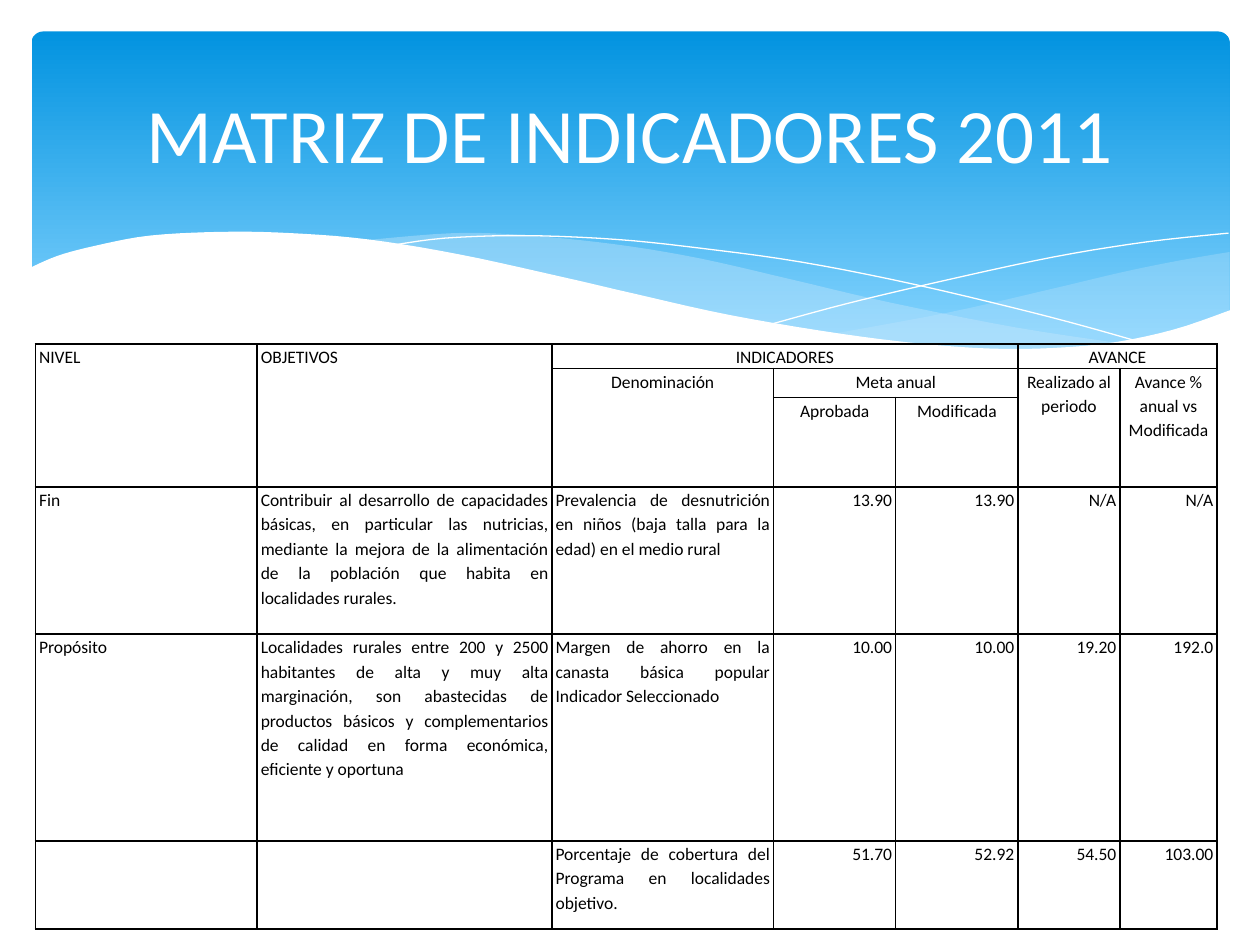
from lxml.etree import SubElement
from pptx import Presentation
from pptx.dml.color import RGBColor
from pptx.enum.shapes import MSO_SHAPE
from pptx.enum.text import MSO_ANCHOR, MSO_AUTO_SIZE, PP_ALIGN
from pptx.oxml.ns import qn
from pptx.util import Inches, Pt

WHITE = RGBColor(0xFF, 0xFF, 0xFF)
BLACK = RGBColor(0x00, 0x00, 0x00)
SKY = RGBColor(0x02, 0x93, 0xE0)
PALE_SKY = RGBColor(0x83, 0xD3, 0xFE)
MIST = RGBColor(0xC6, 0xE7, 0xFC)

LEFT, CENTER = PP_ALIGN.LEFT, PP_ALIGN.CENTER
RIGHT, JUSTIFY = PP_ALIGN.RIGHT, PP_ALIGN.JUSTIFY

# Knots of the wave edges, in inches
BACK_TOP = [(9.76, 2), (9.35, 2.07), (8.91, 2.16), (8.32, 2.3), (7.53, 2.48), (6.61, 2.65)]
BACK_BOTTOM = [(6.61, 2.65), (7.05, 2.71), (7.57, 2.76), (8.14, 2.78), (8.72, 2.74),
               (9.28, 2.63), (9.76, 2.47)]
FRONT_TOP = [(8.93, 2.73), (8.07, 2.6), (7.06, 2.4), (6.29, 2.22), (5.55, 2.05),
             (4.89, 1.94), (4.2, 1.87), (3.61, 1.85), (2.86, 1.91)]
FRONT_BOTTOM = [(2.86, 1.91), (3.62, 2.03), (4.49, 2.22), (5.3, 2.4), (6.01, 2.55),
                (6.8, 2.68), (7.48, 2.76), (8.18, 2.78), (8.93, 2.73)]
FALLING_LINE = [(3.09, 1.95), (3.53, 1.89), (4.16, 1.87), (4.89, 1.9), (5.56, 1.97),
                (6.36, 2.08), (7.27, 2.26), (8.31, 2.51), (9.07, 2.72)]
RISING_LINE = [(6.13, 2.57), (6.72, 2.41), (7.48, 2.23), (8.36, 2.04), (9.1, 1.92), (9.75, 1.85)]
PAPER_TOP = [(9.77, 2.46), (9.3, 2.62), (8.75, 2.73), (8.09, 2.77), (7.44, 2.74), (6.68, 2.65),
             (5.79, 2.5), (5.03, 2.33), (4.47, 2.2), (3.65, 2.02), (2.92, 1.9), (2.3, 1.85),
             (1.77, 1.84), (1.19, 1.87), (0.76, 1.95), (0.46, 2.03), (0.23, 2.13)]

# Table: sizes, merged ranges (first and last cell) and texts
COLUMNS = [1.76, 2.34, 1.76, 0.97, 0.97, 0.81, 0.77]
ROWS = [0.12, 0.23, 0.71, 1.17, 1.64, 0.7]
MERGES = [((0, 0), (2, 0)), ((0, 1), (2, 1)), ((0, 2), (0, 4)), ((0, 5), (0, 6)),
          ((1, 2), (2, 2)), ((1, 3), (1, 4)), ((1, 5), (2, 5)), ((1, 6), (2, 6))]
HEADER_ALIGN = [JUSTIFY] * 2 + [CENTER] * 5
BODY_ALIGN = [LEFT] + [JUSTIFY] * 2 + [RIGHT] * 4
TEXTS = [
    ["NIVEL", "OBJETIVOS ", "INDICADORES", "", "", "AVANCE", ""],
    ["", "", "Denominación", "Meta anual", "", "Realizado al periodo",
     "Avance % anual vs Modificada"],
    ["", "", "", "Aprobada", "Modificada", "", ""],
    ["Fin",
     "Contribuir al desarrollo de capacidades básicas, en particular las nutricias, mediante "
     "la mejora de la alimentación de la población que habita en localidades rurales.",
     "Prevalencia de desnutrición en niños (baja talla para la edad) en el medio rural",
     "13.90", "13.90", "N/A", "N/A"],
    ["Propósito",
     "Localidades rurales entre 200 y 2500 habitantes de alta y muy alta marginación, son "
     "abastecidas de productos básicos y complementarios de calidad en forma económica, "
     "eficiente y oportuna",
     "Margen de ahorro en la canasta básica popular\vIndicador Seleccionado",
     "10.00", "10.00", "19.20", "192.0"],
    ["", "", "Porcentaje de cobertura del Programa en localidades objetivo.",
     "51.70", "52.92", "54.50", "103.00"],
]


def smooth(knots, steps=5):
    """Points of a Catmull-Rom curve through the knots."""
    ends = [knots[0], *knots, knots[-1]]
    points = [knots[0]]
    for a, b, c, d in zip(ends, ends[1:], ends[2:], ends[3:]):
        for i in range(1, steps + 1):
            t = i / steps
            points.append(tuple(
                0.5 * (2 * q + (r - p) * t + (2 * p - 5 * q + 4 * r - s) * t ** 2
                       + (3 * q - p - 3 * r + s) * t ** 3)
                for p, q, r, s in zip(a, b, c, d)))
    return points


class SlideBuilder:
    font = "Calibri"

    def __init__(self, slide):
        self.s = slide

    def format_runs(self, p, size, color):
        for r in p.runs:
            r.font.name = self.font
            r.font.size = Pt(size)
            r.font.color.rgb = color

    def banner(self, left, top, width, height):
        sp = self.s.shapes.add_shape(MSO_SHAPE.ROUNDED_RECTANGLE, Inches(left), Inches(top),
                                     Inches(width), Inches(height))
        sp.adjustments[0] = 0.034
        sp.shadow.inherit = False
        sp.line.fill.background()
        sp.fill.gradient()
        sp.fill.gradient_angle = 270
        for stop, color, position in zip(sp.fill.gradient_stops, (SKY, PALE_SKY), (0, 0.9)):
            stop.color.rgb = color
            stop.position = position

    def freeform(self, points, closed):
        points = [(Inches(x), Inches(y)) for x, y in points]
        builder = self.s.shapes.build_freeform(*points[0])
        builder.add_line_segments(points[1:], close=closed)
        sp = builder.convert_to_shape()
        sp.shadow.inherit = False
        return sp

    def wave(self, points, color, opacity=100):
        sp = self.freeform(points, True)
        sp.line.fill.background()
        sp.fill.solid()
        sp.fill.fore_color.rgb = color
        if opacity < 100:
            clr = sp.fill._xPr.find(qn("a:solidFill"))[0]
            SubElement(clr, qn("a:alpha"), val=str(opacity * 1000))

    def curve(self, knots):
        sp = self.freeform(smooth(knots), False)
        sp.fill.background()
        sp.line.color.rgb = WHITE
        sp.line.width = Pt(0)

    def title(self, text, left, top, width, height):
        sp = self.s.shapes.title
        self.s.shapes._spTree.append(sp._element)  # in front of the banner
        sp.left, sp.top = Inches(left), Inches(top)
        sp.width, sp.height = Inches(width), Inches(height)
        tf = sp.text_frame
        tf.text = text
        tf.auto_size = MSO_AUTO_SIZE.NONE
        tf.vertical_anchor = MSO_ANCHOR.MIDDLE
        tf.paragraphs[0].alignment = CENTER
        self.format_runs(tf.paragraphs[0], 44, WHITE)

    def cell(self, cell, text, alignment):
        cell.margin_left = cell.margin_right = Inches(0.03)
        cell.margin_top = cell.margin_bottom = 0
        p = cell.text_frame.paragraphs[0]
        p.text = text
        p.alignment = alignment
        p.line_spacing = 1.15
        p.font.size = Pt(10)
        self.format_runs(p, 10, BLACK)
        tcPr = cell._tc.get_or_add_tcPr()
        for side in ("a:lnL", "a:lnR", "a:lnT", "a:lnB"):
            ln = SubElement(tcPr, qn(side), w=str(Pt(1)))
            SubElement(SubElement(ln, qn("a:solidFill")), qn("a:srgbClr"), val=str(BLACK))
        cell.fill.background()

    def table(self, left, top):
        frame = self.s.shapes.add_table(len(ROWS), len(COLUMNS), Inches(left), Inches(top),
                                        Inches(sum(COLUMNS)), Inches(sum(ROWS)))
        table = frame.table
        table.first_row = table.horz_banding = False
        for column, width in zip(table.columns, COLUMNS):
            column.width = Inches(width)
        for row, height in zip(table.rows, ROWS):
            row.height = Inches(height)
        for i, texts in enumerate(TEXTS):
            aligns = HEADER_ALIGN if i < 3 else BODY_ALIGN
            for j, (text, alignment) in enumerate(zip(texts, aligns)):
                self.cell(table.cell(i, j), text, alignment)
        for first, last in MERGES:
            table.cell(*first).merge(table.cell(*last))


def main():
    prs = Presentation()
    prs.slide_width, prs.slide_height = Inches(10), Inches(7.5)
    page = SlideBuilder(prs.slides.add_slide(prs.slide_layouts[5]))

    # Banner with waves
    page.banner(0.25, 0.25, 9.51, 2.7)
    page.wave(smooth(BACK_TOP) + smooth(BACK_BOTTOM), MIST, 29)
    page.wave(smooth(FRONT_TOP) + smooth(FRONT_BOTTOM), MIST, 40)
    page.curve(FALLING_LINE)
    page.curve(RISING_LINE)
    page.wave(smooth(PAPER_TOP) + [(0.23, 3.29), (9.77, 3.29)], WHITE)

    # Indicator table and title
    page.table(0.28, 2.73)
    page.title("MATRIZ DE INDICADORES 2011", 0.5, 0.37, 9, 1.37)

    prs.save("out.pptx")


if __name__ == "__main__":
    main()
